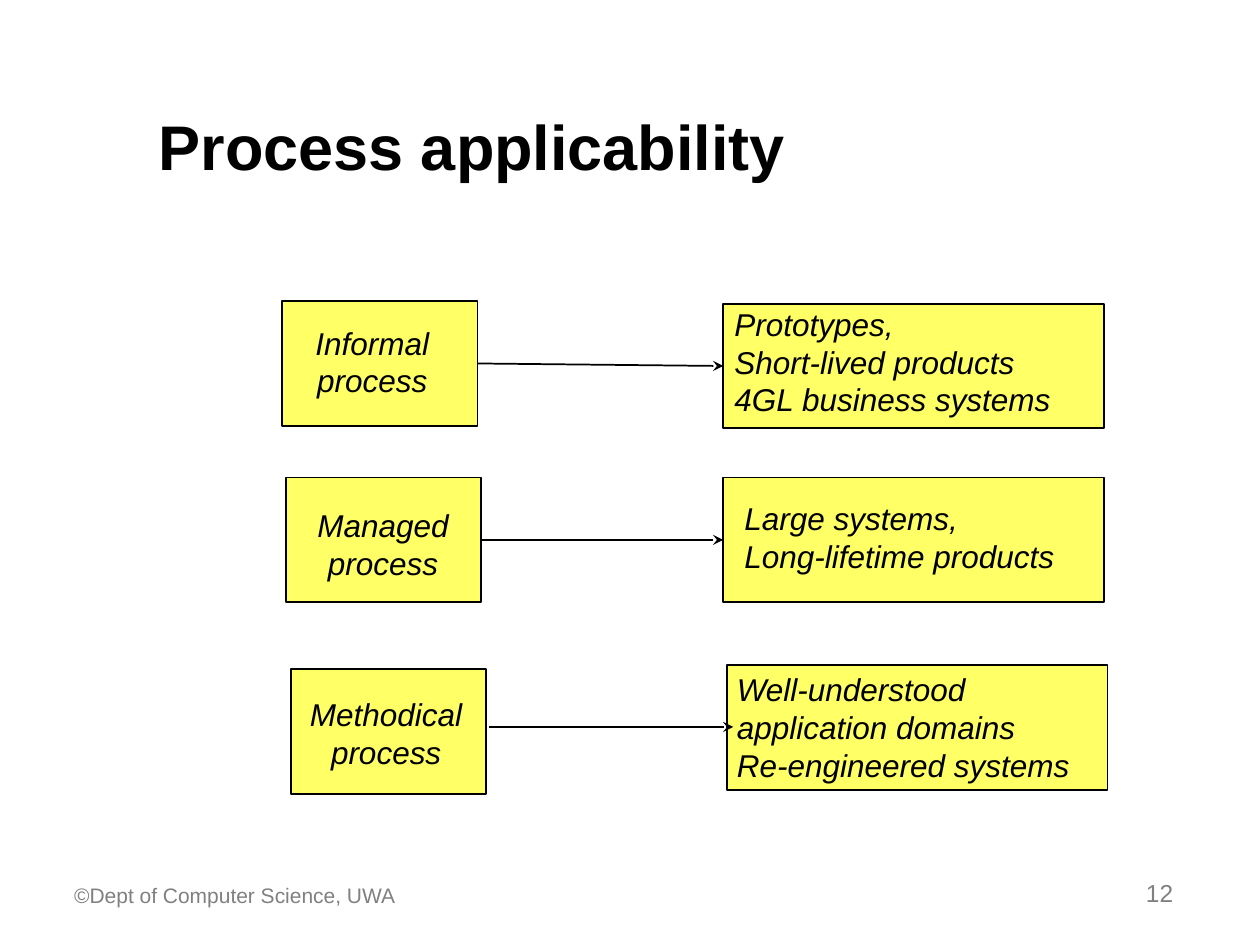
"""Build the slide that pairs each kind of process with the systems it suits."""
from lxml.etree import SubElement
from pptx import Presentation
from pptx.dml.color import RGBColor
from pptx.enum.shapes import MSO_CONNECTOR as Connector, MSO_SHAPE as Shape
from pptx.enum.text import MSO_ANCHOR as Anchor, MSO_AUTO_SIZE as AutoSize, PP_ALIGN as Align
from pptx.oxml.ns import qn
from pptx.util import Inches, Pt

FONT = "Arial"
BLACK, GREY, YELLOW = "000000", "808080", "FFFF66"
PROCESS_SIZE, USE_SIZE = (1.55, 0.99), (3.02, 0.99)

TITLE = "Process applicability"
FOOTER = "©Dept of Computer Science, UWA"
PAGE = "12"

ROWS = [
    {"process": ["Informal", "process"], "process_at": (2.24, 2.39),
     "process_text": (2.4, 2.52, 1.11, 0.7),
     "use": ["Prototypes,", "Short-lived products", "4GL business systems"],
     "use_at": (5.74, 2.41), "use_text": (5.73, 2.37, 2.72, 1),
     "arrow": (3.8, 5.73, 2.88), "joined": True},
    {"process": ["Managed", "process"], "process_at": (2.27, 3.79),
     "process_text": (2.42, 3.97, 1.24, 0.7),
     "use": ["Large systems,", "Long-lifetime products"],
     "use_at": (5.74, 3.79), "use_text": (5.81, 3.91, 2.66, 0.7),
     "arrow": (3.82, 5.75, 4.28), "joined": True},
    {"process": ["Methodical", "process"], "process_at": (2.31, 5.31),
     "process_text": (2.36, 5.47, 1.41, 0.7),
     "use": ["Well-understood", "application domains", "Re-engineered systems"],
     "use_at": (5.77, 5.28), "use_text": (5.75, 5.27, 2.84, 1),
     "arrow": (3.88, 5.82, 5.77), "joined": False},
]


def rgb(value):
    return RGBColor.from_string(value)


def inches(values):
    return [Inches(value) for value in values]


def add_text(slide, lines, place, size, color=BLACK, align=Align.LEFT,
             anchor=Anchor.TOP, wrap=True, bold=False, italic=False):
    frame = slide.shapes.add_textbox(*inches(place)).text_frame
    frame.word_wrap = wrap
    frame.auto_size = AutoSize.NONE if wrap else AutoSize.SHAPE_TO_FIT_TEXT
    frame.vertical_anchor = anchor
    for index, line in enumerate(lines):
        paragraph = frame.add_paragraph() if index else frame.paragraphs[0]
        paragraph.alignment = align
        run = paragraph.add_run()
        run.text = line
        run.font.name, run.font.size = FONT, Pt(size)
        run.font.bold, run.font.italic = bold, italic
        run.font.color.rgb = rgb(color)


def add_box(slide, corner, size):
    box = slide.shapes.add_shape(Shape.RECTANGLE, *inches(corner + size))
    box.shadow.inherit = False
    box.fill.solid()
    box.fill.fore_color.rgb = rgb(YELLOW)
    box.line.color.rgb = rgb(BLACK)
    box.line.width = Pt(1)
    return box


def add_arrow(slide, start, end, y):
    arrow = slide.shapes.add_connector(Connector.STRAIGHT, *inches((start, y, end, y)))
    arrow.line.color.rgb = rgb(BLACK)
    arrow.line.width = Pt(1)
    SubElement(arrow.line._get_or_add_ln(), qn("a:tailEnd"), type="stealth")
    SubElement(arrow._element.spPr, qn("a:effectLst"))
    return arrow


def add_row(slide, row):
    process = add_box(slide, row["process_at"], PROCESS_SIZE)
    use = add_box(slide, row["use_at"], USE_SIZE)
    arrow = add_arrow(slide, *row["arrow"])
    if row["joined"]:
        arrow.begin_connect(process, 3)
        arrow.end_connect(use, 1)
    add_text(slide, row["process"], row["process_text"], 18,
             align=Align.CENTER, wrap=False, italic=True)
    add_text(slide, row["use"], row["use_text"], 18, wrap=False, italic=True)


def main():
    deck = Presentation()
    deck.slide_width, deck.slide_height = Inches(10), Inches(7.5)
    slide = deck.slides.add_slide(deck.slide_layouts[6])
    add_text(slide, [TITLE], (1.16, 0.25, 7.78, 1.25), 36, anchor=Anchor.BOTTOM, bold=True)
    for row in ROWS:
        add_row(slide, row)
    add_text(slide, [FOOTER], (0.49, 6.75, 3, 0.5), 12, GREY, anchor=Anchor.BOTTOM)
    add_text(slide, [PAGE], (7.33, 6.75, 2.08, 0.5), 14, GREY, Align.RIGHT, Anchor.BOTTOM)
    deck.save("out.pptx")


if __name__ == "__main__":
    main()
